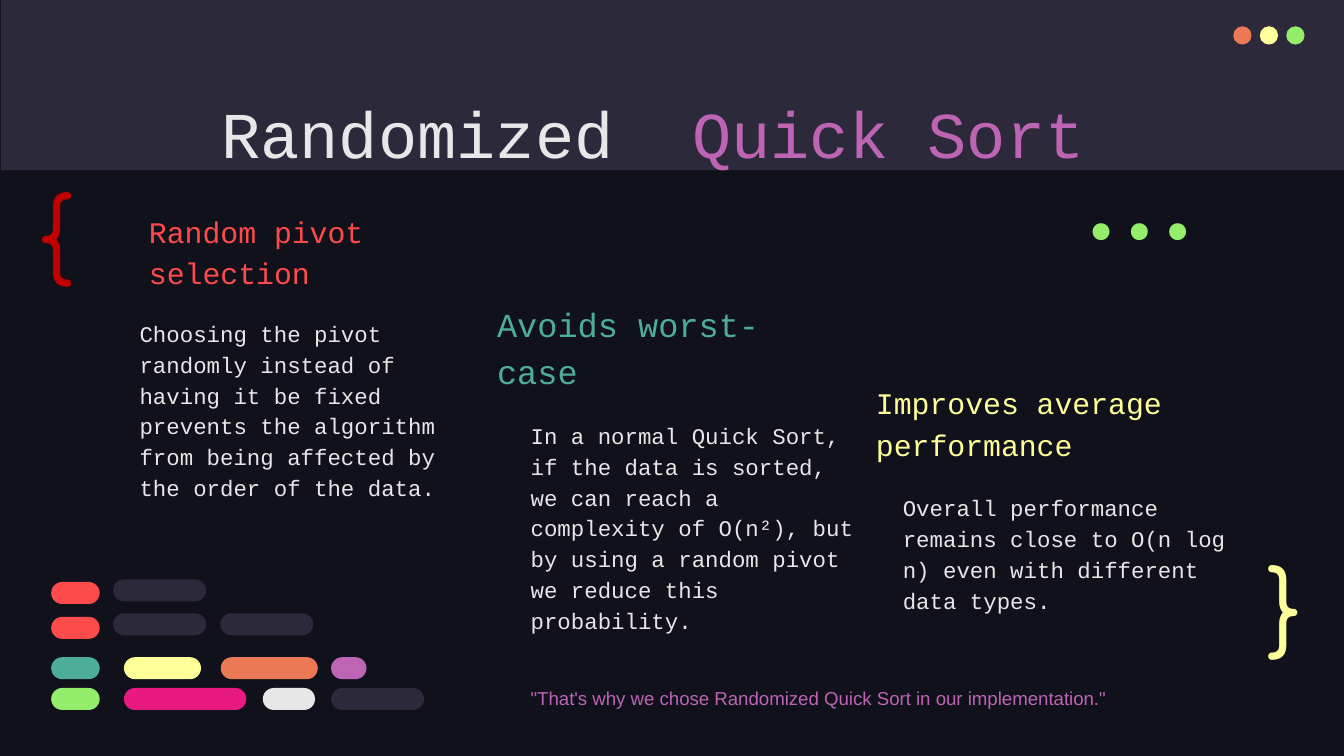
"""Build the Randomized Quick Sort slide."""
from dataclasses import dataclass

from pptx import Presentation
from pptx.dml.color import RGBColor
from pptx.enum import shapes, text
from pptx.util import Pt

COLOURS = {
    "night": "10111A", "slate": "2C293A", "white": "E7E7E7",
    "orange": "EC7955", "yellow": "FFFF99", "green": "94EE6B",
    "purple": "BD64B5", "red": "FD4A4A", "teal": "4CAE97",
    "pink": "E81A81", "crimson": "C00000",
}
CODE_FONT = "Courier New"
INSET = 7.2
PILL_HEIGHT = 11.8
TOP, MIDDLE, BOTTOM = (
    text.MSO_ANCHOR.TOP, text.MSO_ANCHOR.MIDDLE, text.MSO_ANCHOR.BOTTOM)


@dataclass(frozen=True)
class Box:
    left: float
    top: float
    width: float
    height: float


@dataclass(frozen=True)
class Label:
    words: str
    box: Box
    size: float
    colour: str
    font: str = CODE_FONT
    anchor: text.MSO_ANCHOR = TOP
    align: text.PP_ALIGN = text.PP_ALIGN.LEFT
    spacing: float = 1.0


@dataclass(frozen=True)
class Pill:
    left: float
    width: float
    colour: str


@dataclass(frozen=True)
class Column:
    heading: str
    heading_box: Box
    heading_size: float
    colour: str
    body: str
    body_box: Box


COLUMNS = [
    Column("Random pivot selection", Box(72.7, 110.9, 190, 51.8), 16, "red",
           "Choosing the pivot randomly instead of having it be fixed prevents "
           "the algorithm from being affected by the order of the data.",
           Box(67.7, 162, 187.2, 140.4)),
    Column("Avoids worst-case", Box(259.2, 164.9, 190, 51.8), 18, "teal",
           "In a normal Quick Sort, if the data is sorted, we can reach a "
           "complexity of O(n²), but by using a random pivot we reduce this "
           "probability.",
           Box(277.2, 216.7, 187.2, 125.3)),
    Column("Improves average performance", Box(462.2, 203, 190, 51.8), 16, "yellow",
           "Overall performance remains close to O(n log n) even with "
           "different data types.",
           Box(476.6, 255.6, 187.2, 107.3)),
]
ACCENTS = [
    Label("...", Box(550, 102.2, 113.8, 43.2), 50, "green", "Fira Code",
          BOTTOM, text.PP_ALIGN.RIGHT),
    Label("{", Box(13, 85, 55.4, 68.4), 50, "crimson", "Comfortaa"),
    Label('"That\'s why we chose Randomized Quick Sort in our implementation."',
          Box(277.2, 360.7, 468, 30.2), 10, "purple", "Arial"),
    Label("}", Box(671.8, 292.3, 41, 59.8), 50, "yellow", "Comfortaa", MIDDLE),
]
PILL_ROWS = {
    310.4: [Pill(60.6, 49.8, "slate")],
    311.8: [Pill(27.4, 26, "red")],
    328.6: [Pill(60.6, 49.8, "slate"), Pill(118, 49.8, "slate")],
    330.5: [Pill(27.4, 26, "red")],
    352.1: [Pill(27.4, 26, "teal"), Pill(66.4, 41.3, "yellow"),
            Pill(118.3, 52, "orange"), Pill(177.4, 19, "purple")],
    368.6: [Pill(27.4, 26, "green"), Pill(66.4, 65.6, "pink"),
            Pill(140.8, 28, "white"), Pill(177.4, 49.8, "slate")],
}


def colour_of(name: str) -> RGBColor:
    """Look up a palette colour."""
    return RGBColor.from_string(COLOURS[name])


def draw_shape(slide, kind: shapes.MSO_SHAPE, box: Box, colour: str):
    """Draw a plain filled shape without outline or shadow."""
    shape = slide.shapes.add_shape(
        kind, Pt(box.left), Pt(box.top), Pt(box.width), Pt(box.height))
    shape.shadow.inherit = False
    shape.fill.solid()
    shape.fill.fore_color.rgb = colour_of(colour)
    shape.line.fill.background()
    return shape


def format_frame(frame, anchor: text.MSO_ANCHOR) -> None:
    """Give a text frame equal insets, wrapping and an anchor."""
    frame.word_wrap = True
    frame.auto_size = text.MSO_AUTO_SIZE.NONE
    frame.vertical_anchor = anchor
    frame.margin_left = frame.margin_right = Pt(INSET)
    frame.margin_top = frame.margin_bottom = Pt(INSET)


def draw_label(slide, label: Label) -> None:
    """Draw one text box holding a single paragraph."""
    box = label.box
    shape = slide.shapes.add_textbox(
        Pt(box.left), Pt(box.top), Pt(box.width), Pt(box.height))
    format_frame(shape.text_frame, label.anchor)
    paragraph = shape.text_frame.paragraphs[0]
    paragraph.text = label.words
    paragraph.alignment = label.align
    paragraph.line_spacing = label.spacing
    paragraph.font.name = label.font
    paragraph.font.size = Pt(label.size)
    paragraph.font.color.rgb = colour_of(label.colour)


def draw_title(slide) -> None:
    """Fill the title placeholder with its two coloured parts."""
    title = slide.shapes.title
    title.left, title.top, title.width, title.height = (
        Pt(56.9), Pt(35.3), Pt(607), Pt(45.4))
    format_frame(title.text_frame, TOP)
    title.text_frame.margin_top = Pt(2 * INSET)
    paragraph = title.text_frame.paragraphs[0]
    paragraph.alignment = text.PP_ALIGN.CENTER
    paragraph.font.name = CODE_FONT
    paragraph.font.size = Pt(35)
    for words, colour in (("Randomized  ", "white"), ("Quick Sort ", "purple")):
        run = paragraph.add_run()
        run.text = words
        run.font.color.rgb = colour_of(colour)


def draw_column(slide, column: Column) -> None:
    """Draw a coloured heading and its explanation."""
    draw_label(slide, Label(column.heading, column.heading_box, column.heading_size,
                            column.colour, anchor=BOTTOM, spacing=1.15))
    draw_label(slide, Label(column.body, column.body_box, 12, "white", spacing=1.15))


def main() -> None:
    """Assemble and save the slide."""
    presentation = Presentation()
    presentation.slide_width, presentation.slide_height = Pt(720), Pt(405)
    slide = presentation.slides.add_slide(
        presentation.slide_layouts.get_by_name("Title Only"))
    slide.background.fill.solid()
    slide.background.fill.fore_color.rgb = colour_of("night")

    draw_shape(slide, shapes.MSO_SHAPE.RECTANGLE, Box(0.5, 0, 720, 91.2), "slate")
    for index, colour in enumerate(("orange", "yellow", "green")):
        draw_shape(slide, shapes.MSO_SHAPE.OVAL,
                   Box(660.7 + 14.2 * index, 14.1, 9.8, 9.8), colour)
    slide.shapes._spTree.append(slide.shapes.title._element)
    draw_title(slide)

    for column in COLUMNS:
        draw_column(slide, column)
    for top, pills in PILL_ROWS.items():
        for pill in pills:
            shape = draw_shape(slide, shapes.MSO_SHAPE.ROUNDED_RECTANGLE,
                               Box(pill.left, top, pill.width, PILL_HEIGHT), pill.colour)
            shape.adjustments[0] = 0.5
    for label in ACCENTS:
        draw_label(slide, label)

    presentation.save("out.pptx")


if __name__ == "__main__":
    main()
